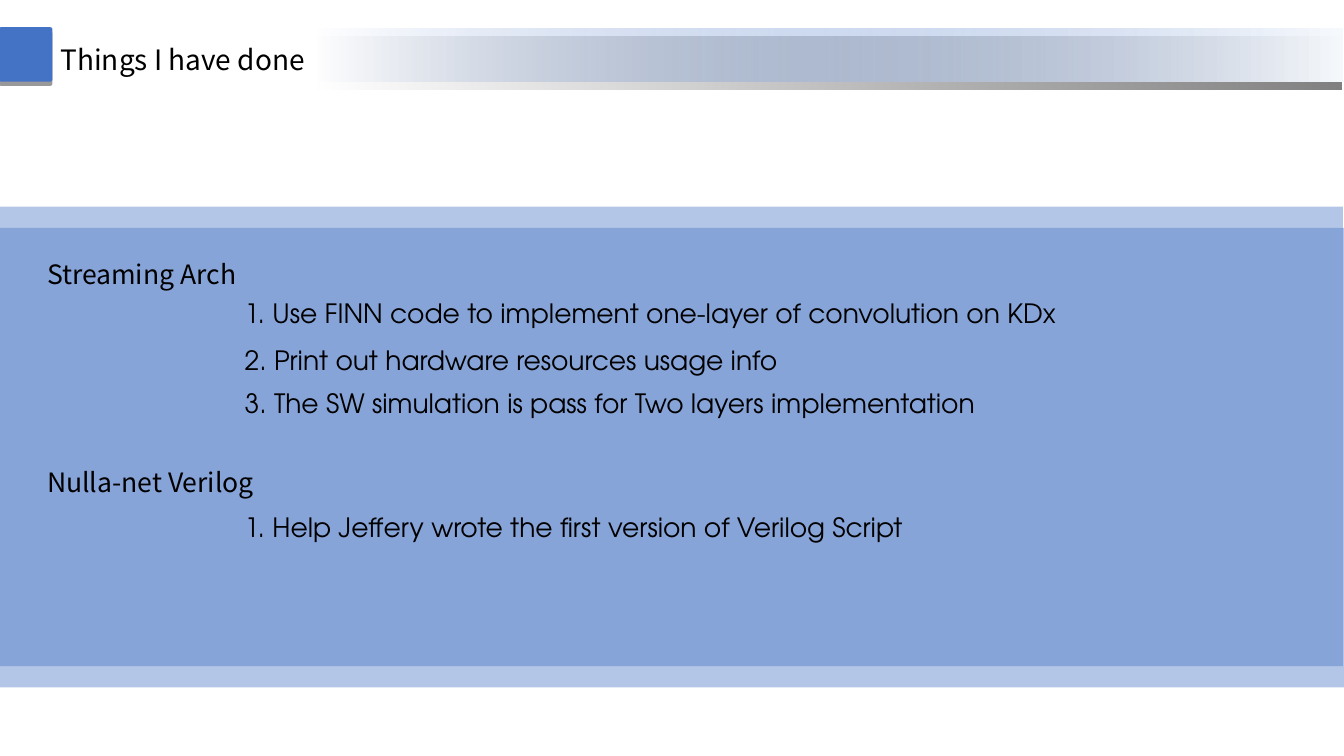
from pptx import Presentation
from pptx.dml.color import RGBColor
from pptx.enum import shapes as kinds, text as texts
from pptx.oxml import parse_xml
from pptx.oxml.ns import nsdecls, qn
from pptx.util import Inches, Pt

BLUE = RGBColor(0x44, 0x72, 0xC4)
PALE = RGBColor(0xF7, 0xFA, 0xFD)
BLACK = RGBColor(0, 0, 0)
HEADING_FONT = "Noto Sans CJK SC"
ITEM_FONT = "TeX Gyre Adventor"

TITLE = "Things I have done"
# Each section: heading, its top, then items with their tops (inches)
SECTIONS = [
    ("Streaming Arch", 2.35, [
        ("1. Use FINN code to implement one-layer of convolution on KDx", 2.9),
        ("2. Print out hardware resources usage info", 3.36),
        ("3. The SW simulation is pass for Two layers implementation", 3.79),
    ]),
    ("Nulla-net Verilog", 4.41, [
        ("1. Help Jeffery wrote the first version of Verilog Script", 5.02),
    ]),
]
PANELS = [(0, 2.26), (-0.01, 2.05)]
PANEL_SIZE = (13.34, 4.56)


def set_alpha(color_element, percent):
    color_element.append(parse_xml(
        f'<a:alpha {nsdecls("a")} val="{percent * 1000}"/>'))


def add_block(slide, kind, left, top, width, height):
    block = slide.shapes.add_shape(
        kind, Inches(left), Inches(top), Inches(width), Inches(height))
    block.shadow.inherit = False
    block.fill.solid()
    block.fill.fore_color.rgb = BLUE
    block.line.fill.background()
    return block


def add_shadow(block, opacity, distance, angle):
    """Give the block a hard black shadow; distance in points, angle in degrees."""
    effects = block._element.spPr.find(qn("a:effectLst"))
    effects.append(parse_xml(
        f'<a:outerShdw {nsdecls("a")} blurRad="0" dist="{Pt(distance)}" '
        f'dir="{angle * 60000}" algn="tl" rotWithShape="0">'
        f'<a:srgbClr val="000000"><a:alpha val="{opacity * 1000}"/></a:srgbClr>'
        '</a:outerShdw>'))


def write(box, words, size=19, font=HEADING_FONT, spacing=1.0, wrap=True):
    frame = box.text_frame
    frame.text = words
    frame.word_wrap = wrap
    frame.auto_size = texts.MSO_AUTO_SIZE.NONE
    frame.vertical_anchor = texts.MSO_ANCHOR.TOP
    para = frame.paragraphs[0]
    para.alignment = texts.PP_ALIGN.LEFT
    para.line_spacing = spacing
    span = para.runs[0].font
    span.name, span.size, span.bold = font, Pt(size), False
    span.color.rgb = BLACK


def add_text(slide, words, left, top, width, height, **style):
    box = slide.shapes.add_textbox(
        Inches(left), Inches(top), Inches(width), Inches(height))
    write(box, words, **style)


def add_header(slide):
    band = add_block(slide, kinds.MSO_SHAPE.RECTANGLE, 3.1, 0.28, 10.23, 0.53)
    band.fill.gradient()
    band.fill.gradient_angle = 180
    for stop, color in zip(band.fill.gradient_stops, (PALE, BLUE)):
        stop.color.rgb = color
    set_alpha(band._element.spPr.findall(".//" + qn("a:srgbClr"))[-1], 0)
    add_shadow(band, opacity=50, distance=6, angle=97)

    marker = add_block(
        slide, kinds.MSO_SHAPE.ROUNDED_RECTANGLE, -0.01, 0.27, 0.53, 0.54)
    marker.adjustments[0] = 0.04
    add_shadow(marker, opacity=40, distance=3, angle=90)

    title = slide.shapes.title
    title.left, title.top = Inches(0.5), Inches(0.37)
    title.width, title.height = Inches(2.68), Inches(0.43)
    write(title, TITLE, size=20, wrap=False)


def main():
    deck = Presentation()
    deck.slide_width, deck.slide_height = Inches(13.34), Inches(7.5)
    slide = deck.slides.add_slide(deck.slide_layouts[5])

    for left, top in PANELS:
        panel = add_block(
            slide, kinds.MSO_SHAPE.RECTANGLE, left, top, *PANEL_SIZE)
        set_alpha(panel._element.spPr.find(".//" + qn("a:srgbClr")), 40)
    add_header(slide)

    for heading, heading_top, items in SECTIONS:
        add_text(slide, heading, 0.37, heading_top, 4.85, 0.58, spacing=1.5)
        for item, item_top in items:
            add_text(slide, item, 2.33, item_top, 8.42, 0.42, font=ITEM_FONT)

    deck.save("out.pptx")


if __name__ == "__main__":
    main()
